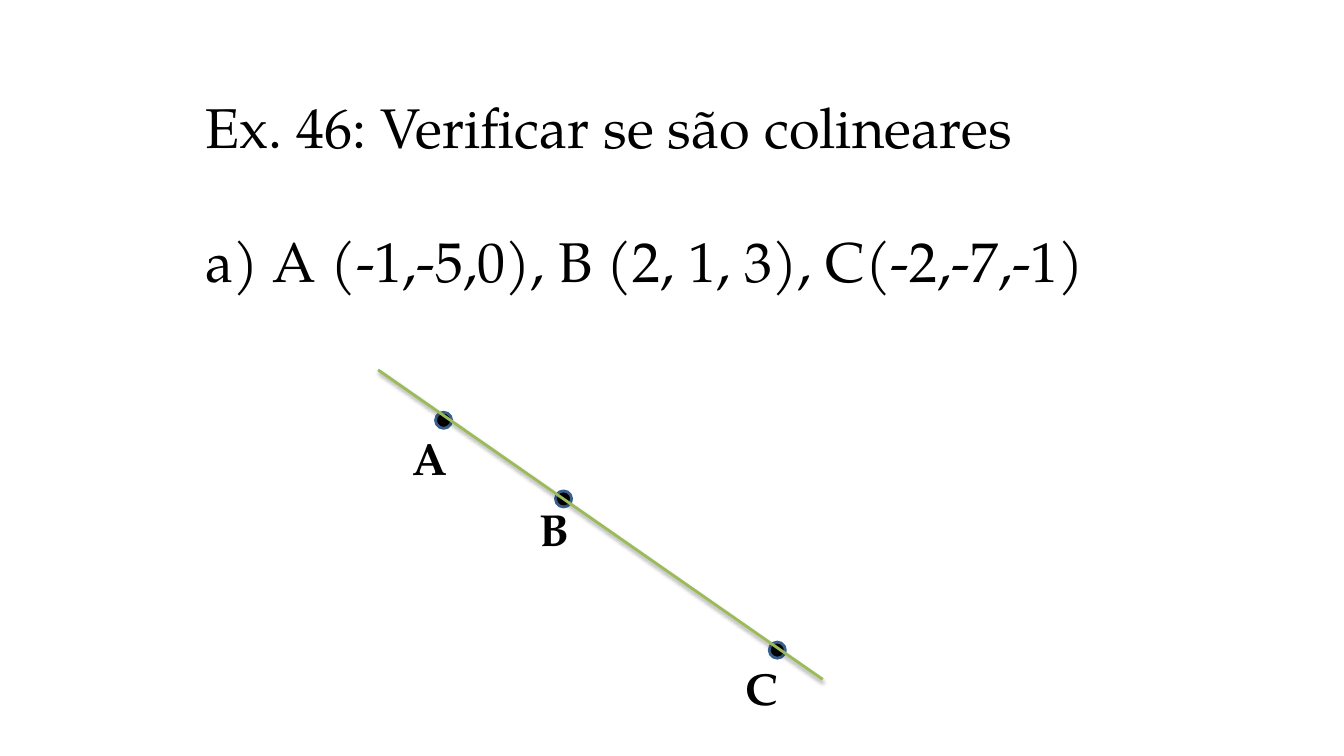
from lxml import etree
from pptx import Presentation
from pptx.dml.color import RGBColor
from pptx.enum import shapes, text
from pptx.oxml.ns import nsdecls
from pptx.util import Inches, Pt

BLACK = RGBColor(0x00, 0x00, 0x00)
BLUE = RGBColor(0x3A, 0x5F, 0x8C)
GREEN = RGBColor(0x9B, 0xBB, 0x59)
FONT = "TeX Gyre Pagella"
DOT = 0.16
SHADOW = (
    f'<a:effectLst {nsdecls("a")}><a:outerShdw blurRad="39370" dist="20320" '
    'dir="5400000" rotWithShape="0"><a:srgbClr val="000000">'
    '<a:alpha val="38000"/></a:srgbClr></a:outerShdw></a:effectLst>'
)


def add_text(slide, lines, box, size, bold=False, wrap=True, gap=0):
    """Add a text box with one paragraph per line."""
    frame = slide.shapes.add_textbox(*map(Inches, box)).text_frame
    frame.word_wrap = wrap
    frame.vertical_anchor = text.MSO_ANCHOR.TOP
    for i, line in enumerate(lines):
        para = frame.paragraphs[0] if i == 0 else frame.add_paragraph()
        if i:
            para.space_before = Pt(gap)
        run = para.add_run()
        run.text = line
        run.font.name = FONT
        run.font.size = Pt(size)
        run.font.bold = bold
        run.font.color.rgb = BLACK


def add_point(slide, x, y):
    """Add a round point centred at x, y."""
    dot = slide.shapes.add_shape(
        shapes.MSO_SHAPE.OVAL, Inches(x - DOT / 2), Inches(y - DOT / 2),
        Inches(DOT), Inches(DOT))
    dot.shadow.inherit = False
    dot.fill.solid()
    dot.fill.fore_color.rgb = BLACK
    dot.line.color.rgb = BLUE
    dot.line.width = Pt(2)


def add_line(slide, *ends):
    """Add the green line with its soft shadow."""
    line = slide.shapes.add_connector(
        shapes.MSO_CONNECTOR.STRAIGHT, *map(Inches, ends))
    line.line.color.rgb = GREEN
    line.line.width = Pt(2)
    line._element.spPr.append(etree.fromstring(SHADOW))


def main():
    """Build the slide on collinear points."""
    deck = Presentation()
    deck.slide_width, deck.slide_height = Inches(13.33), Inches(7.5)
    slide = deck.slides.add_slide(deck.slide_layouts[6])
    add_text(slide, ["Ex. 46: Verificar se são colineares",
                     "a) A (-1,-5,0), B (2, 1, 3), C(-2,-7,-1)"],
             (1.94, 0.87, 9.07, 2.1), 40, gap=48)
    points = [("A", 4.4, 4.17, 3.99, 4.22, 0.55),
              ("B", 5.59, 4.95, 5.25, 4.93, 0.5),
              ("C", 7.71, 6.45, 7.3, 6.51, 0.53)]
    for name, x, y, left, top, width in points:
        add_point(slide, x, y)
        add_text(slide, [name], (left, top, width, 0.64), 32,
                 bold=True, wrap=False)
    add_line(slide, 3.75, 3.67, 8.16, 6.74)
    deck.save("out.pptx")


if __name__ == "__main__":
    main()
